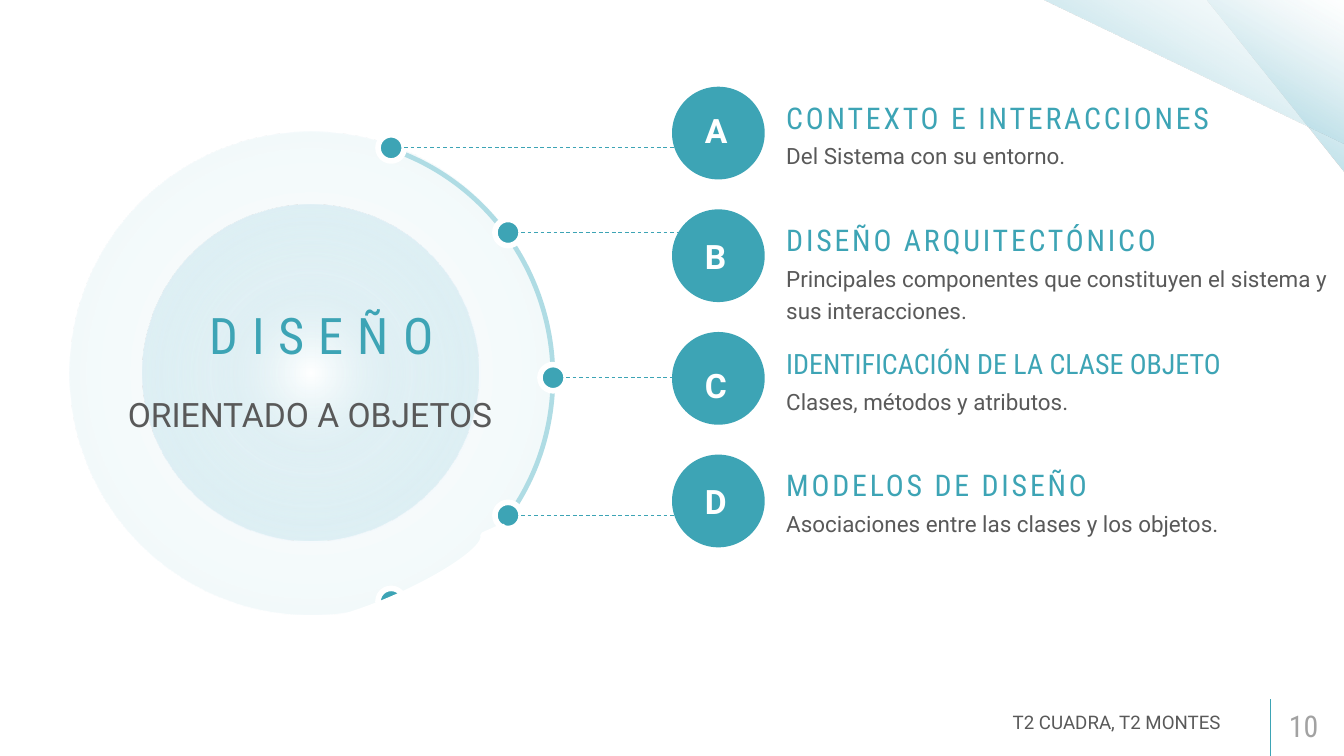
"""Build the object-oriented design overview slide."""
from dataclasses import dataclass

from lxml import etree
from pptx import Presentation
from pptx.dml.color import RGBColor
from pptx.enum import dml, shapes, text
from pptx.oxml import ns
from pptx.util import Inches, Pt

COLUMNS, ROWS = 20, 11.25
ROW_PITCH = 1.825
DOT_SIZE, BADGE_SIZE = 0.39, 1.38
BADGE_LEFT, BADGE_TOP = 10, 1.29
LINE_END = 10.4


@dataclass(frozen=True)
class Theme:
    """Colours, fonts and type sizes of the slide."""
    accent: str = "3DA4B5"
    arc: str = "AFDCE4"
    ink: str = "595959"
    muted: str = "A2A2A2"
    white: str = "FFFFFF"
    heading_font: str = "Roboto Condensed"
    body_font: str = "Roboto"
    title: int = 54
    subtitle: int = 36
    heading: int = 32
    tight_heading: int = 30
    detail: int = 24
    footer: int = 20
    corner: tuple = ((0, "97D1E0", 100), (50, "AAD7E2", 44), (100, "E0F0F4", 0))
    ring: tuple = ((0, "FFFFFF", 100), (50, "C0E1EA", 14), (100, "97D1E0", 15))
    core: tuple = ((0, "FFFFFF", 100), (42, "C0E1EA", 24), (100, "97D1E0", 38))


THEME = Theme()

DOTS = [(5.82, 2.2), (7.56, 3.46), (8.23, 5.62), (7.56, 7.67), (5.82, 8.95)]

TOPICS = [
    ("A", 1.59, "CONTEXTO E INTERACCIONES", THEME.heading, 3,
     "Del Sistema con su entorno."),
    ("B", 3.46, "DISEÑO ARQUITECTÓNICO", THEME.heading, 3,
     "Principales componentes que constituyen el sistema y sus interacciones."),
    ("C", 5.38, "IDENTIFICACIÓN DE LA CLASE OBJETO", THEME.tight_heading, 0,
     "Clases, métodos y atributos."),
    ("D", 7.1, "MODELOS DE DISEÑO", THEME.heading, 3,
     "Asociaciones entre las clases y los objetos."),
]


def cells(*counts):
    """Turn counts of grid cells into lengths."""
    return [Inches(count) for count in counts]


def color(value):
    """Return an RGB colour from its hex value."""
    return RGBColor.from_string(value)


def add_figure(slide, kind, box, fill=None, outline=None, rotation=0):
    """Add a preset shape without shadow."""
    shape = slide.shapes.add_shape(kind, *cells(*box))
    shape.shadow.inherit = False
    shape.rotation = rotation
    if fill:
        shape.fill.solid()
        shape.fill.fore_color.rgb = color(fill)
    if outline:
        shape.line.color.rgb = color(outline)
        shape.line.width = Pt(6)
    else:
        shape.line.fill.background()
    return shape


def fill_gradient(shape, stops, angle=None):
    """Fill a shape with a linear gradient, or a radial one without an angle."""
    shape.fill.background()
    properties = shape.element.spPr
    gradient = etree.Element(ns.qn("a:gradFill"), rotWithShape="1")
    stop_list = etree.SubElement(gradient, ns.qn("a:gsLst"))
    for position, value, opacity in stops:
        stop = etree.SubElement(stop_list, ns.qn("a:gs"), pos=str(position * 1000))
        tone = etree.SubElement(stop, ns.qn("a:srgbClr"), val=value)
        etree.SubElement(tone, ns.qn("a:alpha"), val=str(opacity * 1000))
    if angle is None:
        radial = etree.SubElement(gradient, ns.qn("a:path"), path="circle")
        center = dict.fromkeys("ltrb", "50000")
        etree.SubElement(radial, ns.qn("a:fillToRect"), **center)
    else:
        etree.SubElement(gradient, ns.qn("a:lin"), ang=str(angle * 60000), scaled="0")
    properties.replace(properties.find(ns.qn("a:noFill")), gradient)


def add_line(slide, start, end, dashed=False):
    """Add a thin straight accent line."""
    connector = slide.shapes.add_connector(
        shapes.MSO_CONNECTOR.STRAIGHT, *cells(*start, *end))
    connector.line.color.rgb = color(THEME.accent)
    connector.line.width = Pt(1)
    if dashed:
        connector.line.dash_style = dml.MSO_LINE.DASH
    etree.SubElement(connector.element.spPr, ns.qn("a:effectLst"))


def write(shape, wording, size, tone, font=THEME.body_font, bold=False, tracking=0,
          anchor=text.MSO_ANCHOR.TOP, align=text.PP_ALIGN.LEFT, spacing=1.0,
          margins=(0.18, 0.09)):
    """Write one formatted paragraph into a shape."""
    frame = shape.text_frame
    frame.word_wrap = True
    frame.auto_size = text.MSO_AUTO_SIZE.NONE
    frame.vertical_anchor = anchor
    frame.margin_left = frame.margin_right = Inches(margins[0])
    frame.margin_top = frame.margin_bottom = Inches(margins[1])
    paragraph = frame.paragraphs[0]
    paragraph.alignment = align
    paragraph.line_spacing = spacing
    paragraph.space_before = Pt(0)
    run = paragraph.add_run()
    run.text = wording
    run.font.size = Pt(size)
    run.font.name = font
    run.font.bold = bold
    run.font.color.rgb = color(tone)
    if tracking:
        run.font._element.set("spc", str(tracking * 100))


def add_text(slide, box, wording, size, tone, **style):
    """Add a text box with one paragraph."""
    write(slide.shapes.add_textbox(*cells(*box)), wording, size, tone, **style)


def fill_placeholder(shape, box, wording, size, tone, **style):
    """Move a placeholder to the front of the slide and write into it."""
    shape.left, shape.top, shape.width, shape.height = cells(*box)
    shape.element.getparent().append(shape.element)
    properties = shape.text_frame.paragraphs[0]._p.get_or_add_pPr()
    properties.set("marL", "0")
    properties.set("indent", "0")
    etree.SubElement(properties, ns.qn("a:buNone"))
    write(shape, wording, size, tone, align=text.PP_ALIGN.CENTER, **style)


def add_corner(slide):
    """Add the two translucent triangles of the top right corner."""
    for width, height in ((2.04, 2.57), (4.48, 2.13)):
        triangle = add_figure(slide, shapes.MSO_SHAPE.RIGHT_TRIANGLE,
                              (COLUMNS - width, 0, width, height), rotation=180)
        fill_gradient(triangle, THEME.corner, angle=120)


def add_wheel(slide):
    """Add the ring, its arc, its dots and the lines to the badges."""
    oval, block_arc = shapes.MSO_SHAPE.OVAL, shapes.MSO_SHAPE.BLOCK_ARC
    for left, top, size, stops in ((1.03, 1.96, 7.19, THEME.ring),
                                   (2.12, 3.05, 5, THEME.core)):
        fill_gradient(add_figure(slide, oval, (left, top, size, size)), stops)
    arc = add_figure(slide, block_arc, (1.2, 2.08, 7.14, 6.97), THEME.arc, rotation=72)
    for index, value in enumerate((128.92, 0.12, 0.01)):
        arc.adjustments[index] = value
    radius = DOT_SIZE / 2
    for x, y in DOTS:
        add_figure(slide, oval, (x - radius, y - radius, DOT_SIZE, DOT_SIZE),
                   THEME.accent, THEME.white)
    for x, y in DOTS[:len(TOPICS)]:
        add_line(slide, (x + radius, y), (LINE_END, y), dashed=True)
    add_figure(slide, block_arc, (3.9, 7.95, 3.74, 1.28),
               THEME.white, THEME.white, rotation=156.1)


def add_topic(slide, row, topic):
    """Add one lettered badge with its heading and detail."""
    letter, letter_top, heading, size, tracking, detail = topic
    top = BADGE_TOP + row * ROW_PITCH
    add_figure(slide, shapes.MSO_SHAPE.OVAL,
               (BADGE_LEFT, top, BADGE_SIZE, BADGE_SIZE), THEME.accent)
    add_text(slide, (10.39, letter_top, 0.84, 0.71), letter, THEME.subtitle,
             THEME.white, bold=True, margins=(0.1, 0.05))
    add_text(slide, (11.52, top - 0.12, 8.47, 0.93), heading, size, THEME.accent,
             font=THEME.heading_font, tracking=tracking, anchor=text.MSO_ANCHOR.BOTTOM)
    add_text(slide, (11.52, top + 0.66, 8.47, 1.11), detail, THEME.detail,
             THEME.ink, spacing=1.2)


def add_footer(slide):
    """Add the authors, the divider and the page number."""
    add_line(slide, (18.91, ROWS), (18.91, 10.4))
    add_text(slide, (14.89, 10.49, 3.9, 0.6), "T2 CUADRA, T2 MONTES",
             THEME.footer, THEME.ink)
    add_text(slide, (19, 10.49, 0.99, 0.6), "10", THEME.heading, THEME.muted,
             font=THEME.heading_font, anchor=text.MSO_ANCHOR.MIDDLE)


def main():
    """Build and save the presentation."""
    presentation = Presentation()
    presentation.slide_width, presentation.slide_height = cells(COLUMNS, ROWS)
    slide = presentation.slides.add_slide(presentation.slide_layouts[1])
    title, subtitle = slide.placeholders
    add_corner(slide)
    add_wheel(slide)
    fill_placeholder(title, (1.24, 2.57, 7.09, 2.9), "DISEÑO", THEME.title,
                     THEME.accent, font=THEME.heading_font, tracking=15,
                     anchor=text.MSO_ANCHOR.BOTTOM, margins=(0.1, 0.05))
    fill_placeholder(subtitle, (1.48, 5.65, 6.27, 1.84), "ORIENTADO A OBJETOS",
                     THEME.subtitle, THEME.ink, spacing=1.2)
    for row, topic in enumerate(TOPICS):
        add_topic(slide, row, topic)
    add_footer(slide)
    presentation.save("out.pptx")


if __name__ == "__main__":
    main()
